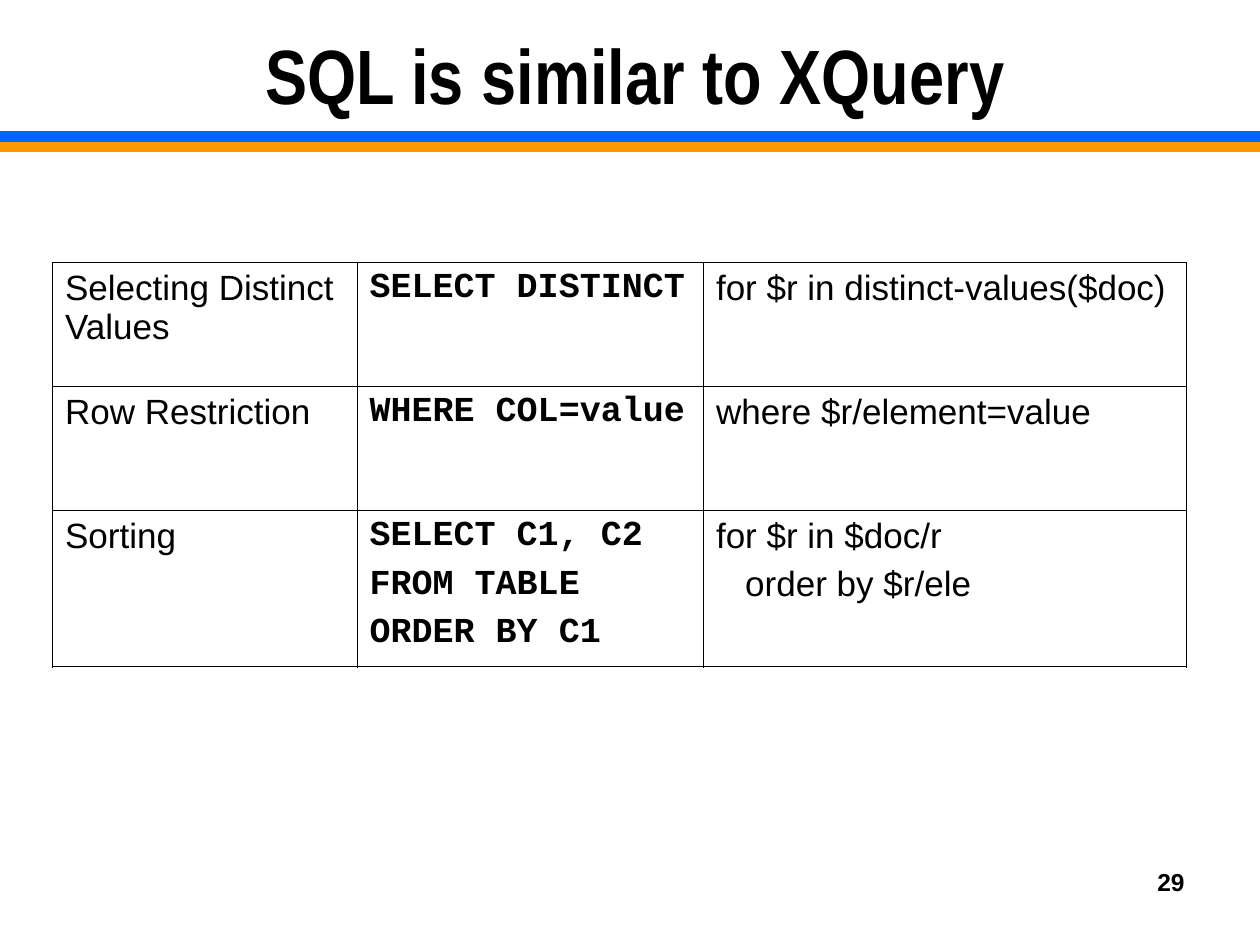
from lxml.etree import SubElement
from pptx import Presentation
from pptx.dml.color import RGBColor
from pptx.enum.shapes import MSO_CONNECTOR
from pptx.enum.text import MSO_ANCHOR, MSO_AUTO_SIZE, PP_ALIGN
from pptx.oxml.ns import qn
from pptx.util import Inches, Pt

UNIT = Inches(1) / 12  # the slide is a grid of 120 columns by 90 rows


def grid(*cells):
    return [round(n * UNIT) for n in cells]


def write(frame, text, size=20, face="Arial", bold=False, hue="000000",
          align=PP_ALIGN.LEFT, gap=0):
    """Put one paragraph per line of text in the frame, gap points apart."""
    frame.word_wrap = True
    for i, line in enumerate(text.split("\n")):
        para = frame.add_paragraph() if i else frame.paragraphs[0]
        para.alignment = align
        para.space_before = Pt(gap if i else 0)
        run = para.add_run()
        run.text = line
        font = run.font
        font.size, font.name, font.bold = Pt(size), face, bold
        font.color.rgb = RGBColor.from_string(hue)


deck = Presentation()
deck.slide_width, deck.slide_height = grid(120, 90)
slide = deck.slides.add_slide(deck.slide_layouts.get_by_name("Title Only"))
shapes = slide.shapes

# Two-tone rule under the title
for row, hue in ((14, "FF9900"), (13, "0066FF")):
    rule = shapes.add_connector(MSO_CONNECTOR.STRAIGHT, *grid(0, row, 120, row))
    rule.line.width = Pt(6)
    rule.line.color.rgb = RGBColor.from_string(hue)
    SubElement(rule._element.spPr, qn("a:effectLst"))

title = shapes.title
title.left, title.top, title.width, title.height = grid(6, 2, 109, 10)
title.text_frame.auto_size = MSO_AUTO_SIZE.NONE
title.text_frame.vertical_anchor = MSO_ANCHOR.MIDDLE
write(title.text_frame, "SQL is similar to XQuery", size=44,
      face="Arial Narrow", bold=True, align=PP_ALIGN.CENTER)

# Task, SQL, XQuery
rows = [
    ("Selecting Distinct Values", "SELECT DISTINCT",
     "for $r in distinct-values($doc)"),
    ("Row Restriction", "WHERE COL=value", "where $r/element=value"),
    ("Sorting", "SELECT C1, C2\nFROM TABLE\nORDER BY C1",
     "for $r in $doc/r\n   order by $r/ele"),
]
wide = grid(29, 33, 46)
tall = grid(11.8, 11.8, 14.9)
table = shapes.add_table(len(rows), len(wide), *grid(5, 25),
                         sum(wide), sum(tall)).table
table.first_row = table.horz_banding = False
for col, width in zip(table.columns, wide):
    col.width = width

for r, texts in enumerate(rows):
    table.rows[r].height = tall[r]
    for c, text in enumerate(texts):
        cell = table.cell(r, c)
        code = c == 1
        write(cell.text_frame, text, bold=code, gap=5,
              face="Courier New" if code else "Arial")
        # Outer edges are heavier than inner ones
        edges = {"L": c == 0, "R": c == len(wide) - 1,
                 "T": r == 0, "B": r == len(rows) - 1}
        props = cell._tc.get_or_add_tcPr()
        for side, outer in edges.items():
            line = SubElement(props, qn(f"a:ln{side}"),
                              w=str(Pt(1.08 if outer else 0.45)))
            fill = SubElement(line, qn("a:solidFill"))
            SubElement(fill, qn("a:srgbClr"), val="000000")
        cell.fill.background()

page = shapes.add_textbox(*grid(86, 82, 28, 6.2))
write(page.text_frame, "29", size=14, bold=True, align=PP_ALIGN.RIGHT)

deck.save("out.pptx")
